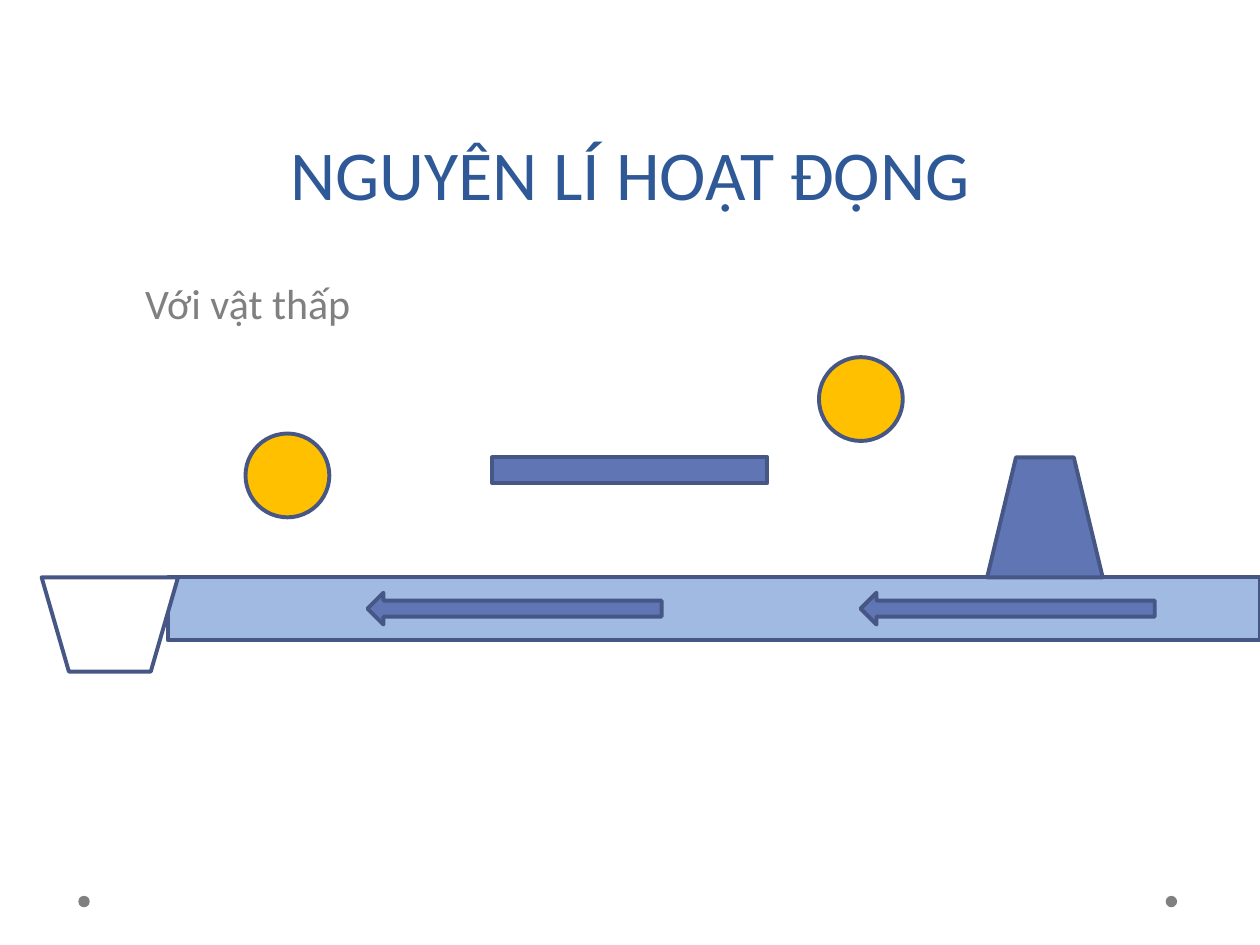
"""Build the slide on how the conveyor handles a low object."""
from dataclasses import dataclass

from lxml import etree
from pptx import Presentation
from pptx import util as u
from pptx.dml.color import RGBColor
from pptx.enum import shapes, text
from pptx.oxml.ns import qn


@dataclass(frozen=True)
class Theme:
    font: str = "Calibri"
    title_size: int = 40
    body_size: int = 24
    title: str = "2F5897"
    grey: str = "808080"
    belt: str = "A0BAE1"
    solid: str = "6076B4"
    ball: str = "FFC000"
    tray: str = "FFFFFF"
    outline: str = "475785"
    outline_width: float = 2.25


theme = Theme()
kinds = shapes.MSO_SHAPE

presentation = Presentation()
presentation.slide_width = u.Cm(25.4)
presentation.slide_height = u.Cm(19.05)
slide = presentation.slides.add_slide(presentation.slide_layouts[1])


def write_text(shape, content, *, box, size, color, align, anchor, spacing):
    shape.left, shape.top, shape.width, shape.height = map(u.Cm, box)
    frame = shape.text_frame
    frame.word_wrap = True
    frame.vertical_anchor = anchor
    frame.text = content
    paragraph = frame.paragraphs[0]
    paragraph.alignment = align
    paragraph.line_spacing = spacing
    font = paragraph.runs[0].font
    font.name, font.size = theme.font, u.Pt(size)
    font.color.rgb = RGBColor.from_string(color)
    return paragraph


def add_figure(kind, box, fill, outline=theme.outline):
    shape = slide.shapes.add_shape(kind, *map(u.Cm, box))
    shape.shadow.inherit = False
    shape.fill.solid()
    shape.fill.fore_color.rgb = RGBColor.from_string(fill)
    if outline:
        shape.line.color.rgb = RGBColor.from_string(outline)
        shape.line.width = u.Pt(theme.outline_width)
    else:
        shape.line.fill.background()


write_text(slide.shapes.title, "NGUYÊN LÍ HOẠT ĐỘNG", box=(1.27, 0, 22.86, 4.45),
           size=theme.title_size, color=theme.title, align=text.PP_ALIGN.CENTER,
           anchor=text.MSO_ANCHOR.BOTTOM, spacing=u.Pt(58))
body = write_text(slide.placeholders[1], "Với vật thấp", box=(2.67, 4.95, 20.52, 10.8),
                  size=theme.body_size, color=theme.grey, align=text.PP_ALIGN.LEFT,
                  anchor=text.MSO_ANCHOR.TOP, spacing=1.5)
body.space_before = u.Pt(6)
properties = body._p.get_or_add_pPr()
properties.set("marL", "0")
properties.set("indent", "0")
etree.SubElement(properties, qn("a:buNone"))

for dot_left in (1.58, 23.5):
    add_figure(kinds.OVAL, (dot_left, 18.06, 0.23, 0.23), theme.grey, outline=None)

belt_left, belt_top = 3.39, 11.64
add_figure(kinds.RECTANGLE, (belt_left, belt_top, 25.4 - belt_left, 1.27), theme.belt)
for arrow_left in (7.41, 17.35):
    add_figure(kinds.LEFT_ARROW, (arrow_left, 11.95, 5.93, 0.64), theme.solid)
for ball_left, ball_top in ((4.95, 8.74), (16.51, 7.2)):
    add_figure(kinds.OVAL, (ball_left, ball_top, 1.69, 1.69), theme.ball)

solid_top = 9.22
add_figure(kinds.TRAPEZOID, (19.9, solid_top, 2.33, belt_top - solid_top), theme.solid)
add_figure(kinds.RECTANGLE, (9.92, solid_top, 5.55, 0.52), theme.solid)
add_figure(kinds.FLOWCHART_MANUAL_OPERATION, (0.84, belt_top, 2.75, 1.9), theme.tray)

presentation.save("out.pptx")
